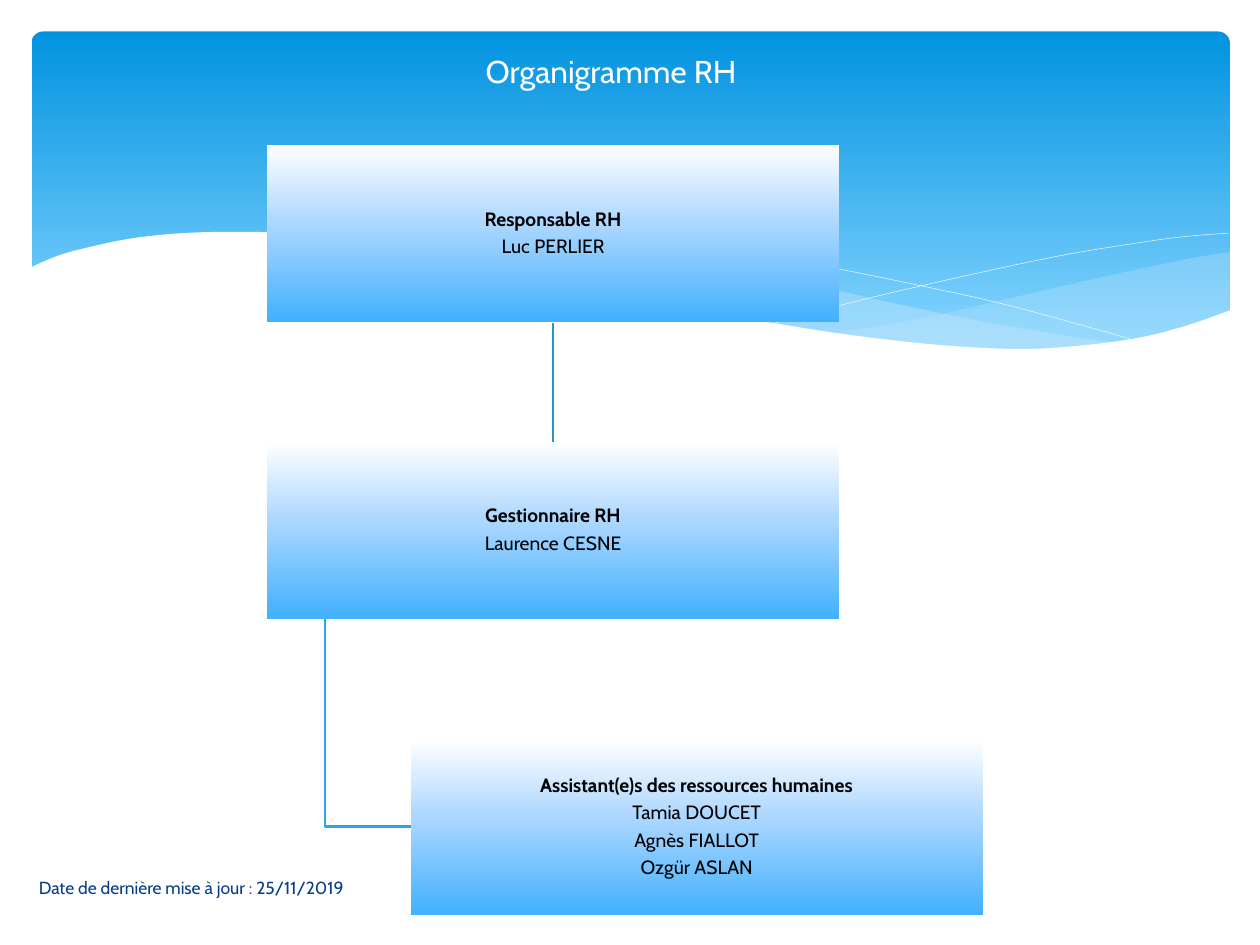
from dataclasses import dataclass

from lxml import etree
from pptx import Presentation
from pptx.dml.color import RGBColor
from pptx.enum.shapes import MSO_CONNECTOR, MSO_SHAPE
from pptx.enum.text import MSO_ANCHOR, PP_ALIGN
from pptx.oxml.ns import qn
from pptx.util import Inches, Pt

STRAIGHT = MSO_CONNECTOR.STRAIGHT
RECTANGLE, ROUNDED = MSO_SHAPE.RECTANGLE, MSO_SHAPE.ROUNDED_RECTANGLE
MIDDLE = MSO_ANCHOR.MIDDLE
CENTER, LEFT = PP_ALIGN.CENTER, PP_ALIGN.LEFT
BOTTOM_SIDE, TOP_SIDE = 2, 0


@dataclass(frozen=True)
class Theme:
    font: str = "Cabin"
    title_size: float = 18
    box_size: float = 11
    date_size: float = 10
    line_width: float = 1.25
    hairline: float = 0.25
    white: str = "FFFFFF"
    black: str = "000000"
    navy: str = "073E87"
    wave: str = "C6E7FC"
    main_link: str = "2792CB"
    side_link: str = "2CA5E6"
    banner: tuple = ((0, "0293E0"), (90, "83D3FE"))
    box: tuple = ((0, "FFFFFF"), (44, "ACD7FF"), (100, "42B0FD"))


theme = Theme()
deck = Presentation()
deck.slide_width, deck.slide_height = Inches(10), Inches(7.5)
COLUMN, ROW = deck.slide_width / 100, deck.slide_height / 75
page = deck.slides.add_slide(deck.slide_layouts[5])


def place(column, row, columns, rows):
    return [int(column * COLUMN), int(row * ROW), int(columns * COLUMN), int(rows * ROW)]


def smooth_curve(knots, steps=6):
    padded = [knots[0], *knots, knots[-1]]
    points = [knots[0]]
    for before, start, end, after in zip(padded, padded[1:], padded[2:], padded[3:]):
        for step in range(1, steps + 1):
            t = step / steps
            points.append(tuple(
                (2 * b + (c - a) * t + (2 * a - 5 * b + 4 * c - d) * t**2
                 + (3 * b - a - 3 * c + d) * t**3) / 2
                for a, b, c, d in zip(before, start, end, after)))
    return points


banner = page.shapes.add_shape(ROUNDED, *place(2.5, 2.5, 95.1, 27))
banner.adjustments[0] = 0.034

right_wave = smooth_curve([
    (97.6, 20), (93.5, 20.7), (86.1, 22.3), (77.9, 24.2), (72.9, 25.3), (66.1, 26.5)])
right_wave += smooth_curve([
    (66.1, 26.5), (70.5, 27.2), (75.7, 27.6), (81.4, 27.8), (86.3, 27.5),
    (90.5, 26.9), (94.2, 25.9), (97.6, 24.7)])
long_wave = smooth_curve([
    (89.3, 27.3), (83.7, 26.5), (77.5, 25.4), (70.6, 24), (62.9, 22.2), (56.9, 20.8),
    (51.4, 19.8), (44.2, 18.9), (38, 18.5), (32.8, 18.7), (28.6, 19.1)])
long_wave += smooth_curve([
    (28.6, 19.1), (34.2, 19.9), (40.4, 21.1), (44.9, 22.2), (53, 24), (60.1, 25.5),
    (66.5, 26.6), (72.2, 27.4), (77.3, 27.7), (81.8, 27.8), (85.7, 27.7), (89.3, 27.3)])
falling_line = smooth_curve([
    (30.9, 19.5), (34.4, 19), (38.7, 18.7), (43.3, 18.7), (48.9, 19), (55.6, 19.7),
    (63.6, 20.8), (72.7, 22.6), (79.5, 24.1), (86.9, 26.1), (90.7, 27.2)])
rising_line = smooth_curve([
    (61.3, 25.7), (67.2, 24.1), (74.8, 22.3), (83.6, 20.4), (89.5, 19.4),
    (93.8, 18.8), (97.5, 18.5)])
lower_edge = smooth_curve([
    (97.7, 24.6), (94, 25.9), (89.9, 26.9), (85, 27.5), (80.9, 27.7), (76.1, 27.5),
    (70.8, 27), (64.8, 26.2), (57.9, 25), (50.3, 23.3), (44.7, 22), (39.1, 20.7),
    (31.6, 19.4), (25, 18.6), (19.3, 18.4), (14.6, 18.5), (10.6, 18.9), (7.6, 19.5),
    (5.2, 20.1), (3.6, 20.7), (2.3, 21.3)]) + [(2.3, 32.9), (97.7, 32.9)]
elbow_link = [(25.8, 49.1), (25.8, 65.6), (32.6, 65.6)]

outlines = [
    (right_wave, theme.wave, 29, None, 0),
    (long_wave, theme.wave, 40, None, 0),
    (falling_line, None, 0, theme.white, theme.hairline),
    (rising_line, None, 0, theme.white, theme.hairline),
    (lower_edge, theme.white, 100, None, 0),
    (elbow_link, None, 0, theme.side_link, theme.line_width),
]
for points, fill, opacity, stroke, width in outlines:
    corners = [(round(x * COLUMN), round(y * ROW)) for x, y in points]
    builder = page.shapes.build_freeform(*corners[0], scale=1.0)
    builder.add_line_segments(corners[1:], close=fill is not None)
    outline = builder.convert_to_shape()
    outline.shadow.inherit = False
    if fill:
        outline.fill.solid()
        outline.fill.fore_color.rgb = RGBColor.from_string(fill)
        color = outline.fill._xPr.find(qn("a:solidFill"))[0]
        etree.SubElement(color, qn("a:alpha"), val=str(opacity * 1000))
    else:
        outline.fill.background()
    if stroke:
        outline.line.color.rgb = RGBColor.from_string(stroke)
        outline.line.width = Pt(width)
    else:
        outline.line.fill.background()

staff = [
    ((21.2, 11.5, 45.4, 14.1), ["Responsable RH", "Luc PERLIER"]),
    ((21.2, 35.1, 45.4, 14), ["Gestionnaire RH", "Laurence CESNE"]),
    ((32.6, 58.7, 45.4, 13.9), ["Assistant(e)s des ressources humaines", "Tamia DOUCET",
                                "Agnès FIALLOT", "Ozgür ASLAN"]),
]
boxes = [page.shapes.add_shape(RECTANGLE, *place(*area)) for area, lines in staff]

for shape, stops in [(banner, theme.banner), *((box, theme.box) for box in boxes)]:
    shape.shadow.inherit = False
    shape.line.fill.background()
    shape.fill.gradient()
    shape.fill.gradient_angle = 270
    stop_list = shape.fill._xPr.find(qn("a:gradFill")).find(qn("a:gsLst"))
    for old_stop in list(stop_list):
        stop_list.remove(old_stop)
    for position, color in stops:
        stop = etree.SubElement(stop_list, qn("a:gs"), pos=str(position * 1000))
        etree.SubElement(stop, qn("a:srgbClr"), val=color)

link = page.shapes.add_connector(STRAIGHT, 0, 0, 0, 0)
link.begin_connect(boxes[0], BOTTOM_SIDE)
link.end_connect(boxes[1], TOP_SIDE)
link.line.color.rgb = RGBColor.from_string(theme.main_link)
link.line.width = Pt(theme.line_width)
etree.SubElement(link._element.spPr, qn("a:effectLst"))

title = page.shapes.title
title.left, title.top, title.width, title.height = place(3.5, 2.9, 90, 5.5)
page.shapes._spTree.append(title._element)
date = page.shapes.add_textbox(*place(2.1, 68.4, 41.4, 4))

texts = [(box, lines, theme.box_size, theme.black, CENTER)
         for box, (area, lines) in zip(boxes, staff)]
texts += [
    (title, ["Organigramme RH"], theme.title_size, theme.white, CENTER),
    (date, ["Date de dernière mise à jour : 25/11/2019"], theme.date_size, theme.navy, LEFT),
]
for shape, lines, size, color, alignment in texts:
    frame = shape.text_frame
    frame.word_wrap = True
    frame.vertical_anchor = MIDDLE
    in_box = len(lines) > 1
    if in_box:
        frame.margin_left = frame.margin_right = Inches(0.01)
        frame.margin_top = frame.margin_bottom = Inches(0.01)
    for index, line in enumerate(lines):
        para = frame.add_paragraph() if index else frame.paragraphs[0]
        para.alignment = alignment
        if in_box:
            para.line_spacing = 0.9
            para.space_after = Pt(0.35 * size)
        span = para.add_run()
        span.text = line
        span.font.name = theme.font
        span.font.size = Pt(size)
        span.font.bold = in_box and index == 0
        span.font.color.rgb = RGBColor.from_string(color)

deck.save("out.pptx")
